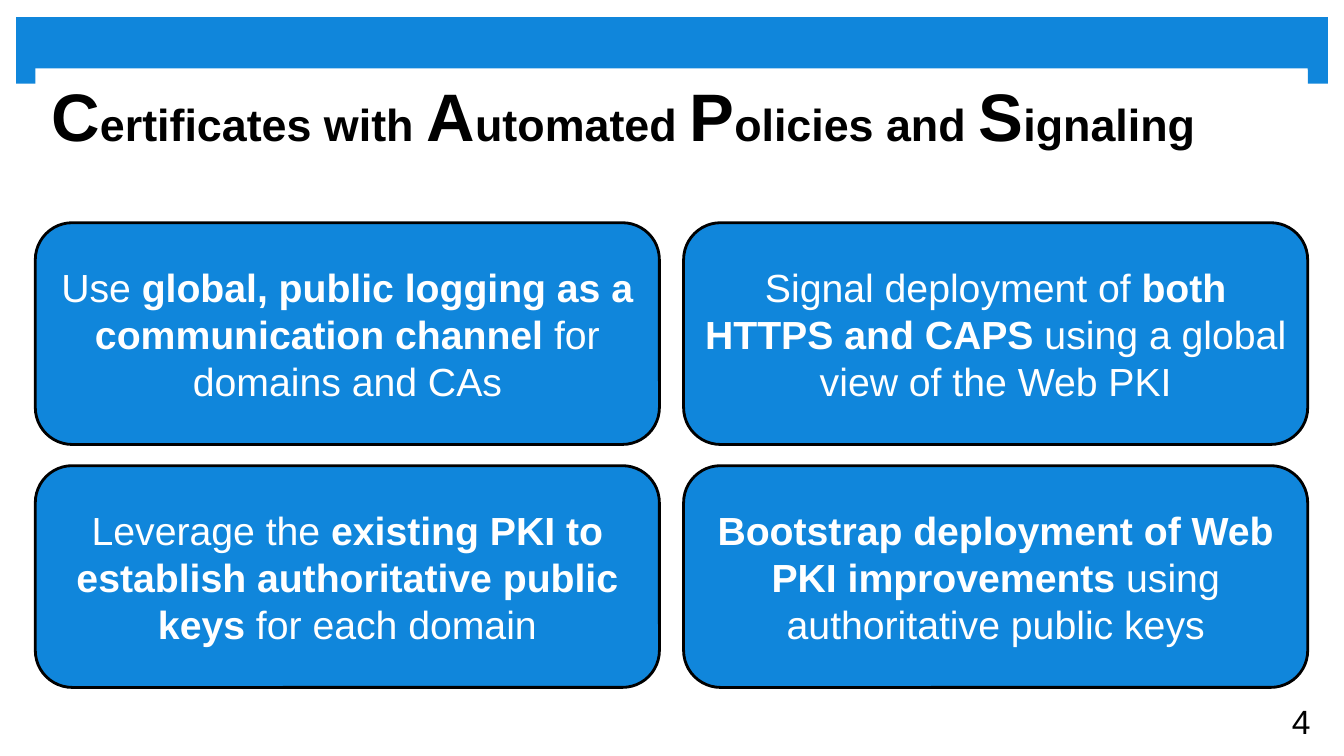
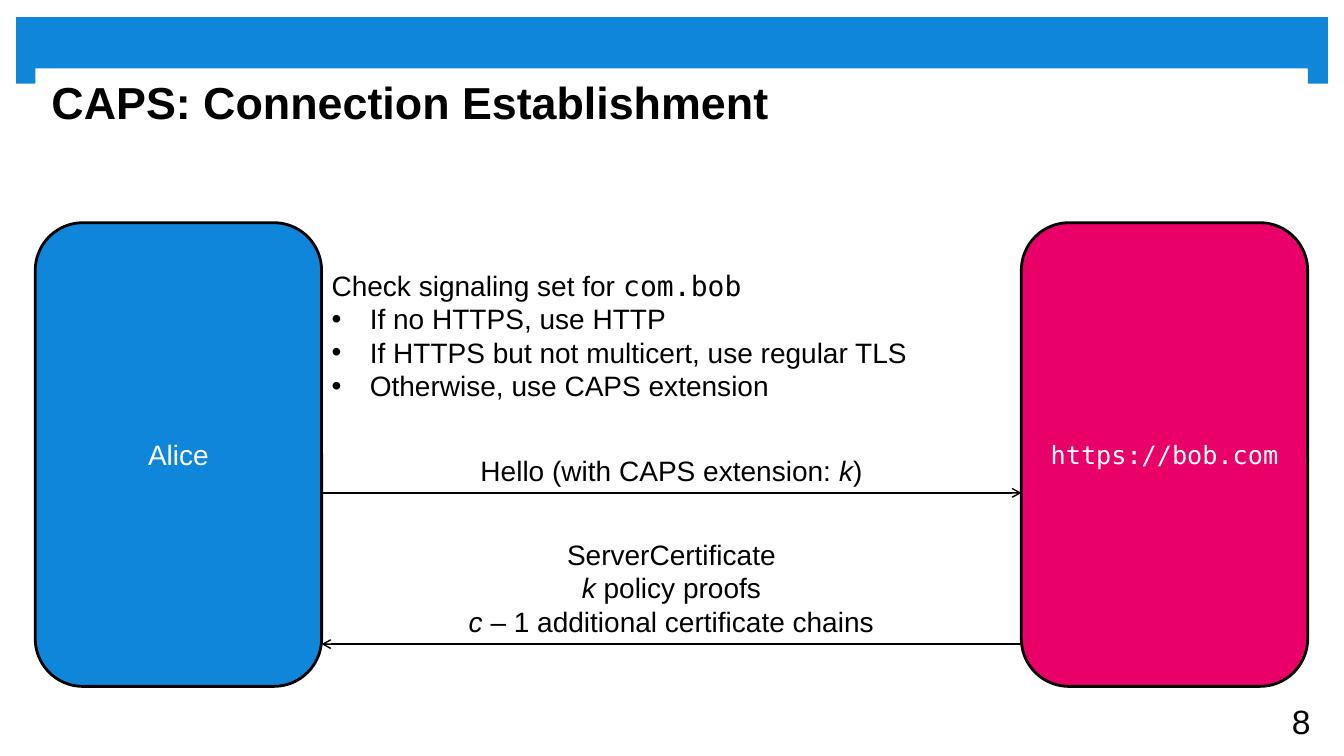
from dataclasses import dataclass, field
from itertools import product
from typing import Any

from lxml import etree
from pptx import Presentation
from pptx.dml.color import RGBColor
from pptx.enum.shapes import MSO_CONNECTOR as Link, MSO_SHAPE as Preset
from pptx.enum.text import MSO_ANCHOR as Anchor, MSO_AUTO_SIZE as AutoSize, PP_ALIGN as Align
from pptx.oxml.ns import qn
from pptx.shapes.autoshape import Shape
from pptx.slide import Slide
from pptx.util import Emu, Pt

PX = 9144  # 100 px to the inch
SLIDE_SIZE = (1333, 750)
BLUE, PINK, BLACK, WHITE = "1086DB", "E90068", "000000", "FFFFFF"
SANS, MONO = "Arial", "DejaVu Sans Mono"

MARGIN, CONTENT_TOP, CONTENT_WIDTH = 35, 221, 1262
CARD_SIZE = (619, 220)
CARD_GAPS = (24, 21)
PARTY_SIZE = (284, 460)
BULLET_INDENT = 38
BAND_BOXES = ((16, 17, 1301, 52), (16, 65, 20, 18), (1297, 65, 20, 18))
TITLE_BOX = (MARGIN, 68, CONTENT_WIDTH, 106)
NUMBER_BOX = (1271, 690, 39, 51)

BOLD = {"bold": True}
ITALIC = {"italic": True}
CODE = {"name": MONO}
BIG_INITIAL = {"size": Pt(48)}

Box = tuple[int, int, int, int]


@dataclass(frozen=True)
class Run:
    text: str
    style: dict[str, Any] = field(default_factory=dict)


@dataclass(frozen=True)
class Line:
    runs: tuple[Run, ...]
    bullet: bool = False


@dataclass(frozen=True)
class TextStyle:
    size: int
    color: str = BLACK
    align: Align = Align.CENTER
    anchor: Anchor = Anchor.MIDDLE
    bold: bool = False
    font: str = SANS
    insets: tuple[int, int, int, int] = (10, 5, 10, 5)
    wrap: bool = True


@dataclass(frozen=True)
class Party:
    name: str
    left: int
    fill: str
    style: TextStyle


@dataclass(frozen=True)
class Message:
    start: int
    end: int
    y: int
    label_box: Box
    label: tuple[Line, ...]


TITLE = TextStyle(32, align=Align.LEFT, anchor=Anchor.TOP, bold=True, insets=(16, 6, 16, 0))
NUMBER = TextStyle(24, insets=(0, 0, 0, 0), wrap=False)
CARD = TextStyle(28, WHITE)
LABEL = TextStyle(20, anchor=Anchor.TOP, wrap=False)
CHECKLIST = TextStyle(20, align=Align.LEFT, anchor=Anchor.TOP, wrap=False)


def px(*lengths: int) -> list[Emu]:
    return [Emu(length * PX) for length in lengths]


def rgb(color: str) -> RGBColor:
    return RGBColor.from_string(color)


def line(*parts: str | Run, bullet: bool = False) -> Line:
    return Line(tuple(Run(p) if isinstance(p, str) else p for p in parts), bullet)


def add_bullet(paragraph) -> None:
    properties = paragraph._p.get_or_add_pPr()
    indent = BULLET_INDENT * PX
    properties.set("marL", str(indent))
    properties.set("indent", str(-indent))
    etree.SubElement(properties, qn("a:buFont")).set("typeface", SANS)
    etree.SubElement(properties, qn("a:buChar")).set("char", "•")


def write(shape: Shape, lines: tuple[Line, ...], style: TextStyle) -> None:
    frame = shape.text_frame
    left, top, right, bottom = px(*style.insets)
    frame_format = {
        "margin_left": left, "margin_top": top, "margin_right": right, "margin_bottom": bottom,
        "word_wrap": style.wrap, "vertical_anchor": style.anchor, "auto_size": AutoSize.NONE,
    }
    for key, value in frame_format.items():
        setattr(frame, key, value)
    base = {"name": style.font, "size": Pt(style.size), "bold": style.bold}
    for index, content in enumerate(lines):
        paragraph = frame.add_paragraph() if index else frame.paragraphs[0]
        paragraph.alignment = style.align
        if content.bullet:
            add_bullet(paragraph)
        for part in content.runs:
            run = paragraph.add_run()
            run.text = part.text
            run.font.color.rgb = rgb(style.color)
            for key, value in (base | part.style).items():
                setattr(run.font, key, value)


def add_panel(slide: Slide, preset: Preset, box: Box, fill: str, outlined: bool = False) -> Shape:
    panel = slide.shapes.add_shape(preset, *px(*box))
    panel.shadow.inherit = False
    panel.fill.solid()
    panel.fill.fore_color.rgb = rgb(fill)
    if outlined:
        panel.line.color.rgb = rgb(BLACK)
        panel.line.width = Pt(2)
    else:
        panel.line.fill.background()
    return panel


def add_label(slide: Slide, box: Box, lines: tuple[Line, ...], style: TextStyle) -> None:
    write(slide.shapes.add_textbox(*px(*box)), lines, style)


def add_arrow(slide: Slide, start: int, end: int, y: int) -> None:
    arrow = slide.shapes.add_connector(Link.STRAIGHT, *px(start, y, end, y))
    arrow.line.color.rgb = rgb(BLACK)
    arrow.line.width = Pt(1)
    etree.SubElement(arrow.line._get_or_add_ln(), qn("a:tailEnd")).set("type", "arrow")
    etree.SubElement(arrow._element.spPr, qn("a:effectLst"))


def add_framed_slide(deck, title: Line, number: int) -> Slide:
    """Add a slide with the shared band, title and slide number."""
    slide = deck.slides.add_slide(deck.slide_layouts[6])
    for box in BAND_BOXES:
        add_panel(slide, Preset.RECTANGLE, box, BLUE)
    add_label(slide, NUMBER_BOX, (line(str(number)),), NUMBER)
    write(add_panel(slide, Preset.RECTANGLE, TITLE_BOX, WHITE), (title,), TITLE)
    return slide


def build_principles(deck) -> None:
    title = line(
        Run("C", BIG_INITIAL), "ertificates with ", Run("A", BIG_INITIAL), "utomated ",
        Run("P", BIG_INITIAL), "olicies and ", Run("S", BIG_INITIAL), "ignaling",
    )
    principles = (
        line("Use ", Run("global, public logging as a communication channel", BOLD),
             " for domains and CAs"),
        line("Signal deployment of ", Run("both HTTPS and CAPS ", BOLD),
             "using a global view of the Web PKI"),
        line("Leverage the ", Run("existing PKI to establish authoritative public keys ", BOLD),
             "for each domain"),
        line(Run("Bootstrap deployment of Web PKI improvements ", BOLD),
             "using authoritative public keys"),
    )
    slide = add_framed_slide(deck, title, 4)
    width, height = CARD_SIZE
    gap_x, gap_y = CARD_GAPS
    for (row, column), principle in zip(product(range(2), repeat=2), principles):
        box = (MARGIN + column * (width + gap_x), CONTENT_TOP + row * (height + gap_y),
               width, height)
        card = add_panel(slide, Preset.ROUNDED_RECTANGLE, box, BLUE, outlined=True)
        write(card, (principle,), CARD)


def build_connection(deck) -> None:
    width, height = PARTY_SIZE
    server_left = MARGIN + CONTENT_WIDTH - width
    client_right = MARGIN + width
    parties = (
        Party("Alice", MARGIN, BLUE, TextStyle(20, WHITE)),
        Party("https://bob.com", server_left, PINK, TextStyle(18, WHITE, font=MONO)),
    )
    messages = (
        Message(client_right, server_left, 489, (465, 445, 402, 44), (
            line("Hello (with CAPS extension: ", Run("k", ITALIC), ")"),
        )),
        Message(server_left, client_right, 639, (454, 528, 424, 111), (
            line("ServerCertificate"),
            line(Run("k", ITALIC), " policy proofs"),
            line(Run("c ", ITALIC), "– 1 additional certificate chains"),
        )),
    )
    checks = (
        line("Check signaling set for ", Run("com.bob", CODE)),
        line("If no HTTPS, use HTTP", bullet=True),
        line("If HTTPS but not multicert, use regular TLS", bullet=True),
        line("Otherwise, use CAPS extension", bullet=True),
    )
    slide = add_framed_slide(deck, line("CAPS: Connection Establishment"), 8)
    for party in parties:
        box = (party.left, CONTENT_TOP, width, height)
        panel = add_panel(slide, Preset.ROUNDED_RECTANGLE, box, party.fill, outlined=True)
        write(panel, (line(party.name),), party.style)
    for message in messages:
        add_arrow(slide, message.start, message.end, message.y)
        add_label(slide, message.label_box, message.label, LABEL)
    add_label(slide, (client_right, 261, 594, 145), checks, CHECKLIST)


def main() -> None:
    deck = Presentation()
    deck.slide_width, deck.slide_height = px(*SLIDE_SIZE)
    build_principles(deck)
    build_connection(deck)
    deck.save("out.pptx")


if __name__ == "__main__":
    main()
